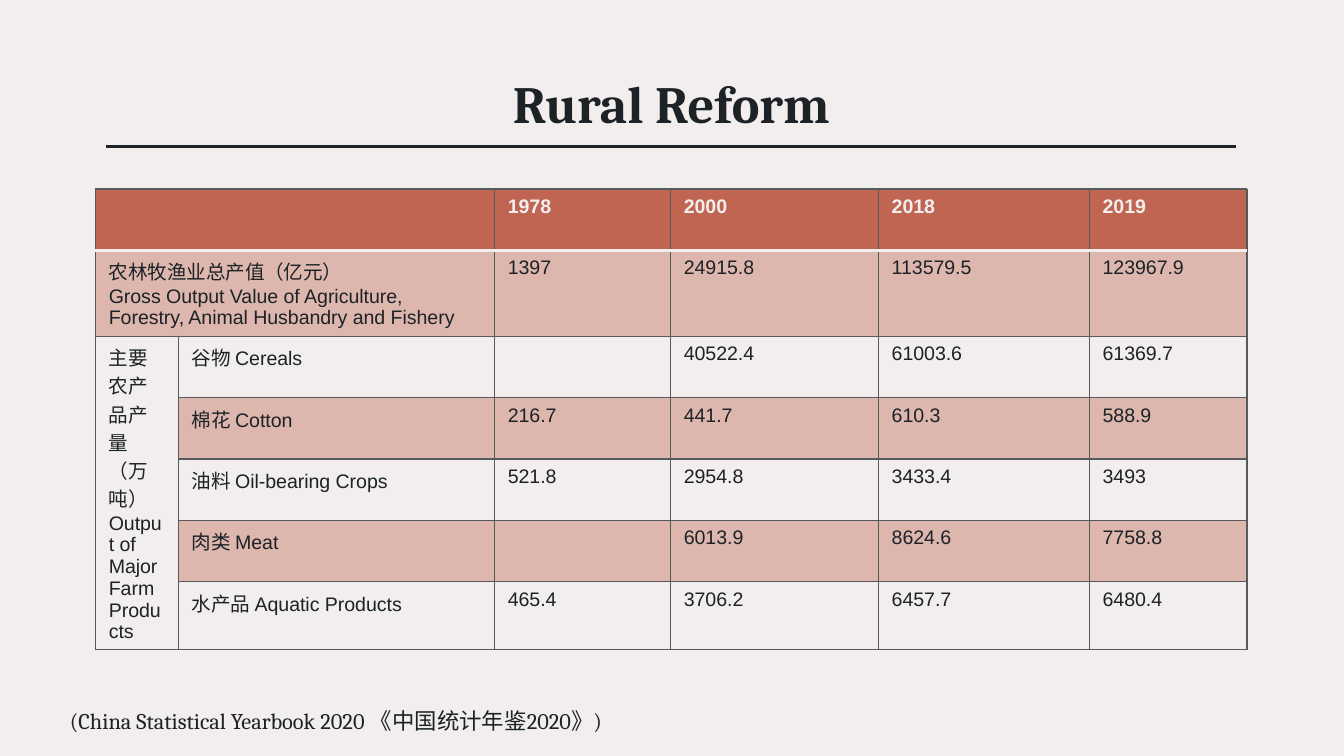
"""Build the Rural Reform slide with its table of farm output."""
from dataclasses import dataclass

from lxml import etree
from pptx import Presentation
from pptx.dml.color import RGBColor
from pptx.enum.shapes import MSO_CONNECTOR
from pptx.enum.text import MSO_ANCHOR, MSO_AUTO_SIZE, PP_ALIGN
from pptx.oxml.ns import qn
from pptx.slide import Slide
from pptx.table import _Cell
from pptx.text.text import TextFrame
from pptx.util import Pt

LINE = MSO_CONNECTOR.STRAIGHT
MIDDLE, TOP = MSO_ANCHOR.MIDDLE, MSO_ANCHOR.TOP
FIXED = MSO_AUTO_SIZE.NONE
LEFT, CENTER = PP_ALIGN.LEFT, PP_ALIGN.CENTER


@dataclass(frozen=True)
class Theme:
    ink: str = "1C2226"
    paper: str = "F1EEED"
    clay: str = "C06551"
    edge: str = "575A5A"
    serif: str = "Cambria"
    sans: str = "Arial"
    title: float = 28
    note: float = 12
    cell: float = 10.5


@dataclass(frozen=True)
class Row:
    label: str
    values: tuple[str, ...]
    tint: bool = False
    wide: bool = False
    height: float = 32.9


THEME = Theme()
YEARS = ("1978", "2000", "2018", "2019")
GROUP = "主要农产品产量（万吨）\nOutput of Major Farm Products"
WIDTHS = (44.5, 169.3, 94.3, 111.4, 113, 84.5)
HEAD = Row("", YEARS, wide=True)
ROWS = (
    HEAD,
    Row("农林牧渔业总产值（亿元）\nGross Output Value of Agriculture, Forestry, Animal Husbandry and Fishery",
        ("1397", "24915.8", "113579.5", "123967.9"), tint=True, wide=True, height=46),
    Row("谷物 Cereals", ("", "40522.4", "61003.6", "61369.7")),
    Row("棉花 Cotton", ("216.7", "441.7", "610.3", "588.9"), tint=True),
    Row("油料 Oil-bearing Crops", ("521.8", "2954.8", "3433.4", "3493")),
    Row("肉类 Meat", ("", "6013.9", "8624.6", "7758.8"), tint=True),
    Row("水产品 Aquatic Products", ("465.4", "3706.2", "6457.7", "6480.4")),
)


def write(frame: TextFrame, text: str, *, size: float, face: str,
          color: str = THEME.ink, bold: bool = False, align: PP_ALIGN = LEFT) -> None:
    """Fill a frame with one paragraph for each line of text."""
    frame.text = text
    for para in frame.paragraphs:
        props = para._p.get_or_add_pPr()
        props.set("marL", "0")
        props.set("indent", "0")
        etree.SubElement(props, qn("a:buNone"))
        para.alignment = align
        para.space_before = Pt(0)
        for run in para.runs:
            font = run.font
            font.size, font.name, font.bold = Pt(size), face, bold
            font.color.rgb = RGBColor.from_string(color)


def place(slide: Slide, index: int, box: tuple[float, ...], inset: float,
          anchor: MSO_ANCHOR) -> TextFrame:
    """Move a placeholder and return its text frame."""
    shape = slide.placeholders[index]
    shape.left, shape.top, shape.width, shape.height = map(Pt, box)
    frame = shape.text_frame
    frame.auto_size, frame.word_wrap = FIXED, True
    frame.vertical_anchor = anchor
    frame.margin_left = frame.margin_right = Pt(inset)
    frame.margin_top = frame.margin_bottom = Pt(inset)
    return frame


def style(cell: _Cell, row: Row, depth: int) -> None:
    """Give a cell its borders and fill."""
    props = cell._tc.get_or_add_tcPr()
    for side in "LRTB":
        rule = (depth, side) in ((0, "B"), (1, "T"))
        width, color = (2, THEME.paper) if rule else (0.75, THEME.edge)
        line = etree.SubElement(props, qn(f"a:ln{side}"), w=str(Pt(width)))
        fill = etree.SubElement(line, qn("a:solidFill"))
        etree.SubElement(fill, qn("a:srgbClr"), val=color)
    cell.fill.solid()
    shade = THEME.clay if row is HEAD or row.tint else THEME.paper
    cell.fill.fore_color.rgb = RGBColor.from_string(shade)
    if row.tint:
        paint = props.find(qn("a:solidFill"))
        etree.SubElement(paint[0], qn("a:alpha"), val="40000")


def draw_rule(slide: Slide) -> None:
    """Draw the line below the title."""
    rule = slide.shapes.add_connector(LINE, Pt(56.9), Pt(78.5), Pt(662.4), Pt(78.5))
    rule.line.width = Pt(1.5)
    rule.line.color.rgb = RGBColor.from_string(THEME.ink)
    etree.SubElement(rule._element.spPr, qn("a:effectLst"))


def draw_table(slide: Slide) -> None:
    """Draw the table of output by year."""
    table = slide.shapes.add_table(
        len(ROWS), len(WIDTHS), Pt(51.1), Pt(101.3),
        Pt(sum(WIDTHS)), Pt(sum(row.height for row in ROWS))).table
    table.first_row = table.horz_banding = False
    for column, width in zip(table.columns, WIDTHS):
        column.width = Pt(width)
    for depth, row in enumerate(ROWS):
        table.rows[depth].height = Pt(row.height)
        start = (row.label, "") if row.wide else ("", row.label)
        for index, text in enumerate(start + row.values):
            cell = table.cell(depth, index)
            style(cell, row, depth)
            if text:
                write(cell.text_frame, text, size=THEME.cell, face=THEME.sans,
                      color=THEME.paper if row is HEAD else THEME.ink, bold=row is HEAD)
        if row.wide:
            table.cell(depth, 0).merge(table.cell(depth, 1))
    first = sum(row.wide for row in ROWS)
    group = table.cell(first, 0)
    group.merge(table.cell(len(ROWS) - 1, 0))
    group._tc.tcPr.set("vert", "eaVert")
    write(group.text_frame, GROUP, size=THEME.cell, face=THEME.sans)


def main() -> None:
    """Build and save the slide."""
    deck = Presentation()
    deck.slide_width, deck.slide_height = Pt(720), Pt(405)
    slide = deck.slides.add_slide(deck.slide_layouts[1])
    ground = slide.background.fill
    ground.solid()
    ground.fore_color.rgb = RGBColor.from_string(THEME.paper)
    draw_rule(slide)
    title = place(slide, 0, (126, 38.2, 467.3, 33.1), 7.2, MIDDLE)
    write(title, "Rural Reform", size=THEME.title, face=THEME.serif, bold=True, align=CENTER)
    note = place(slide, 1, (37.4, 379, 645, 22), 0, TOP)
    write(note, "(China Statistical Yearbook 2020 《中国统计年鉴2020》)",
          size=THEME.note, face=THEME.serif)
    draw_table(slide)
    deck.save("out.pptx")


if __name__ == "__main__":
    main()
